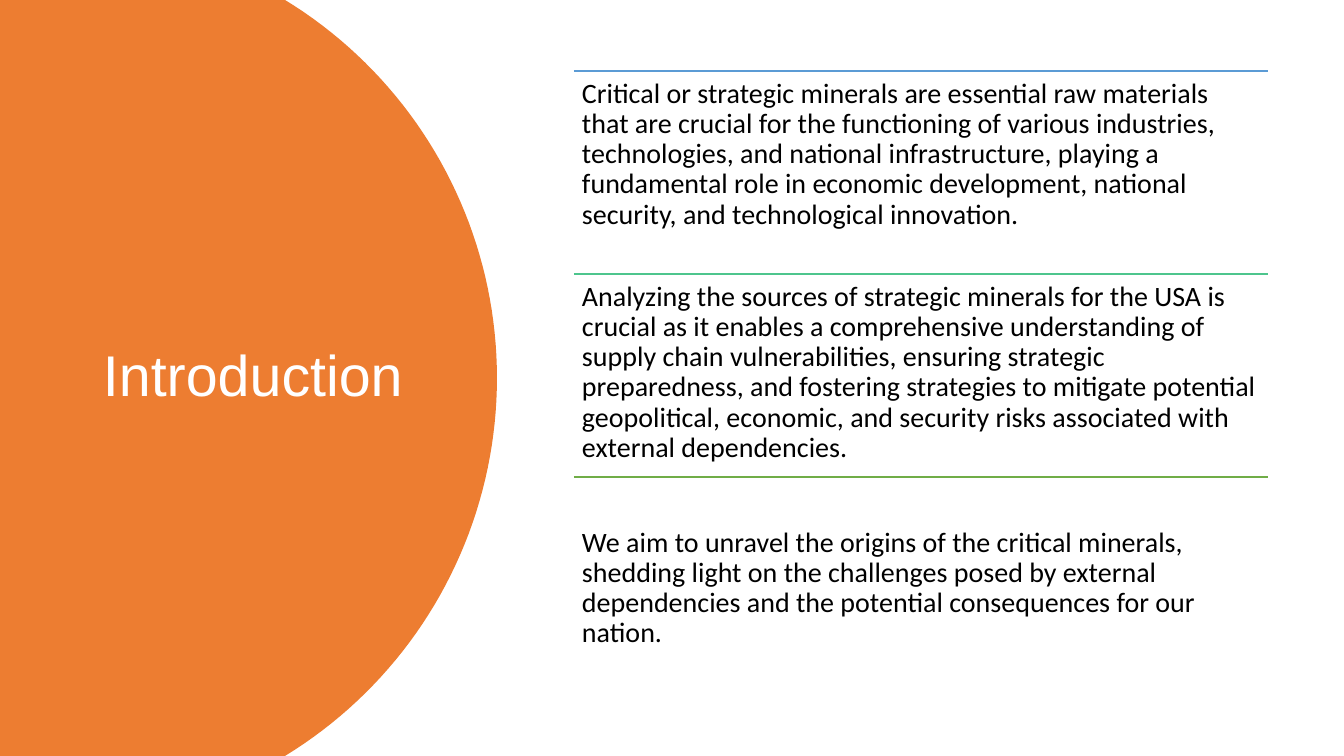
import math

from lxml import etree
from pptx import Presentation
from pptx.dml.color import RGBColor
from pptx.enum.shapes import MSO_CONNECTOR
from pptx.enum.text import MSO_ANCHOR, PP_ALIGN
from pptx.oxml.ns import qn
from pptx.util import Pt

EMU_PER_PIXEL = 914400 / 100.8
SLIDE_WIDTH, SLIDE_HEIGHT = 1344, 756

STRAIGHT = MSO_CONNECTOR.STRAIGHT
TOP, MIDDLE = MSO_ANCHOR.TOP, MSO_ANCHOR.MIDDLE
LEFT = PP_ALIGN.LEFT

ORANGE = RGBColor(0xED, 0x7D, 0x31)
WHITE = RGBColor(0xFF, 0xFF, 0xFF)
BLACK = RGBColor(0x00, 0x00, 0x00)
BLUE = RGBColor(0x5B, 0x9B, 0xD5)
TEAL = RGBColor(0x4D, 0xC5, 0x8D)
GREEN = RGBColor(0x70, 0xAD, 0x47)

TITLE_FONT = {"name": "Arial", "size": Pt(41)}
BODY_FONT = {"name": "Calibri", "size": Pt(20)}

ARC_CENTER_X, ARC_RADIUS, ARC_STEPS = 54, 443, 80
BLOCK_LEFT, BLOCK_TOP, BLOCK_WIDTH, BLOCK_HEIGHT = 574, 71, 694, 203
BLOCKS = [
    (BLUE, 8,
     "Critical or strategic minerals are essential raw materials that are "
     "crucial for the functioning of various industries, technologies, and "
     "national infrastructure, playing a fundamental role in economic "
     "development, national security, and technological innovation."),
    (TEAL, 8,
     "Analyzing the sources of strategic minerals for the USA is crucial as "
     "it enables a comprehensive understanding of supply chain "
     "vulnerabilities, ensuring strategic preparedness, and fostering "
     "strategies to mitigate potential geopolitical, economic, and security "
     "risks associated with external dependencies."),
    (GREEN, 51,
     "We aim to unravel the origins of the critical minerals, shedding light "
     "on the challenges posed by external dependencies and the potential "
     "consequences for our nation."),
]


def emu(pixels):
    return round(pixels * EMU_PER_PIXEL)


def set_attributes(target, values):
    for name, value in values.items():
        setattr(target, name, value)


class SlideBuilder:
    def __init__(self, slide, line_width=Pt(1), line_spacing=0.9):
        self.shapes = slide.shapes
        self.line_width = line_width
        self.line_spacing = line_spacing

    def outline(self, points, color):
        start, *others = [(emu(x), emu(y)) for x, y in points]
        builder = self.shapes.build_freeform(*start)
        builder.add_line_segments(others, close=True)
        shape = builder.convert_to_shape()
        shape.shadow.inherit = False
        shape.fill.solid()
        shape.fill.fore_color.rgb = color
        shape.line.fill.background()

    def rule(self, left, top, width, color):
        connector = self.shapes.add_connector(
            STRAIGHT, emu(left), emu(top), emu(left + width), emu(top))
        connector.line.color.rgb = color
        connector.line.width = self.line_width
        properties = connector._element.spPr
        etree.SubElement(properties, qn("a:effectLst"))

    def text(self, box, text, font, color, anchor, insets):
        shape = self.shapes.add_textbox(*map(emu, box))
        frame = shape.text_frame
        left, top, right, bottom = map(emu, insets)
        set_attributes(frame, {
            "word_wrap": True, "vertical_anchor": anchor,
            "margin_left": left, "margin_top": top,
            "margin_right": right, "margin_bottom": bottom})
        paragraph = frame.paragraphs[0]
        set_attributes(paragraph, {
            "alignment": LEFT, "line_spacing": self.line_spacing})
        run = paragraph.add_run()
        run.text = text
        set_attributes(run.font, font)
        run.font.color.rgb = color


presentation = Presentation()
presentation.slide_width = emu(SLIDE_WIDTH)
presentation.slide_height = emu(SLIDE_HEIGHT)
slide = presentation.slides.add_slide(presentation.slide_layouts[6])
builder = SlideBuilder(slide)

middle = SLIDE_HEIGHT / 2
half_angle = math.asin(middle / ARC_RADIUS)
angles = [half_angle * (2 * step / ARC_STEPS - 1) for step in range(ARC_STEPS + 1)]
arc = [(ARC_CENTER_X + ARC_RADIUS * math.cos(angle),
        middle + ARC_RADIUS * math.sin(angle)) for angle in angles]
builder.outline([(0, 0), *arc, (0, SLIDE_HEIGHT)], ORANGE)
builder.text((93, 71, 326, 614), "Introduction", TITLE_FONT, WHITE, MIDDLE, (10, 5, 10, 5))

for index, (color, top_inset, text) in enumerate(BLOCKS):
    top = BLOCK_TOP + index * BLOCK_HEIGHT
    builder.rule(BLOCK_LEFT, top, BLOCK_WIDTH, color)
    builder.text((BLOCK_LEFT, top, BLOCK_WIDTH, BLOCK_HEIGHT), text,
                 BODY_FONT, BLACK, TOP, (8, top_inset, 8, 8))

presentation.save("out.pptx")
